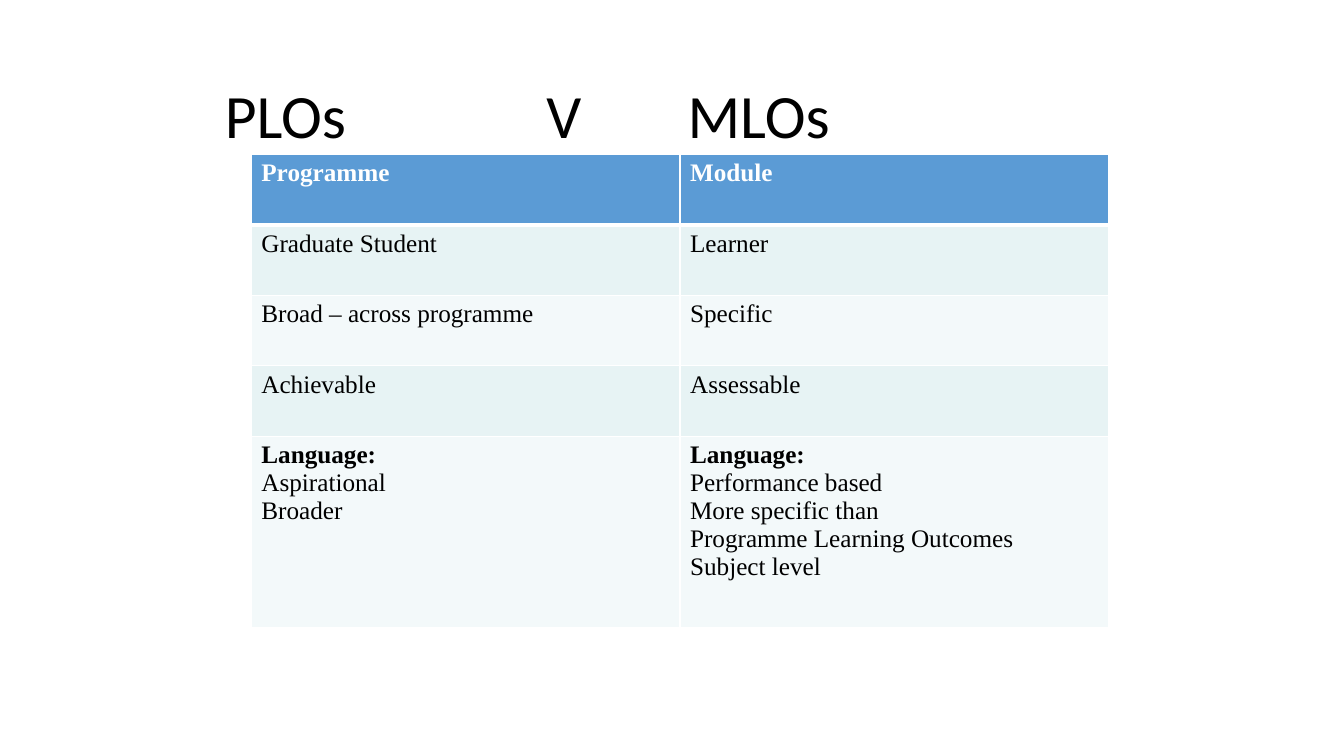
from lxml import etree
from pptx import Presentation
from pptx import util as u
from pptx.dml.color import RGBColor
from pptx.enum import text as t
from pptx.oxml import ns

HUES = {"white": "FFFFFF", "black": "000000", "head": "5B9BD5",
        "odd": "E7F3F4", "even": "F3F9FA"}
ROWS = [
    (["Programme"], ["Module"]),
    (["Graduate Student"], ["Learner"]),
    (["Broad – across programme"], ["Specific"]),
    (["Achievable"], ["Assessable"]),
    (["Language:", "Aspirational", "Broader"],
     ["Language:", "Performance based", "More specific than",
      "Programme Learning Outcomes", "Subject level"]),
]


def write(para, words, size=18, font="Times New Roman", hue="black", bold=False):
    run = para.add_run()
    run.text = words
    run.font.size = u.Pt(size)
    run.font.name = font
    run.font.bold = bold
    run.font.color.rgb = RGBColor.from_string(HUES[hue])


class Slide:
    """Draw text and tables on a grid of 100 columns by 100 rows."""

    def __init__(self, deck):
        self.page = deck.slides.add_slide(deck.slide_layouts[6])
        self.col = deck.slide_width / 100
        self.row = deck.slide_height / 100

    def place(self, left, top, wide, high):
        return (round(left * self.col), round(top * self.row),
                round(wide * self.col), round(high * self.row))

    def title(self, parts, stops, *spot):
        frame = self.page.shapes.add_textbox(*self.place(*spot)).text_frame
        frame.word_wrap = True
        frame.vertical_anchor = t.MSO_ANCHOR.MIDDLE
        frame.margin_left = u.Inches(0.05)
        para = frame.paragraphs[0]
        tabs = etree.SubElement(para._p.get_or_add_pPr(), ns.qn("a:tabLst"))
        for stop in stops:
            etree.SubElement(tabs, ns.qn("a:tab"), pos=str(u.Inches(stop)), algn="l")
        para.line_spacing = 0.9
        write(para, "\t".join(parts), size=44, font="Calibri")

    def edge(self, cell, side, width):
        line = etree.SubElement(cell._tc.get_or_add_tcPr(), ns.qn("a:ln" + side),
                                w=str(u.Pt(width)))
        fill = etree.SubElement(line, ns.qn("a:solidFill"))
        etree.SubElement(fill, ns.qn("a:srgbClr"), val=HUES["white"])

    def cell(self, cell, lines, rank):
        for side in "LRTB":
            thick = (rank, side) in ((0, "B"), (1, "T"))
            self.edge(cell, side, 3 if thick else 1)
        fill = "head" if rank == 0 else "odd" if rank % 2 else "even"
        cell.fill.solid()
        cell.fill.fore_color.rgb = RGBColor.from_string(HUES[fill])
        frame = cell.text_frame
        for i, line in enumerate(lines):
            para = frame.add_paragraph() if i else frame.paragraphs[0]
            write(para, line, hue="black" if rank else "white",
                  bold=rank == 0 or line.endswith(":"))

    def table(self, rows, left, top, wide, highs):
        spot = self.place(left, top, wide, sum(highs))
        grid = self.page.shapes.add_table(len(rows), len(rows[0]), *spot).table
        for rank, (row, high) in enumerate(zip(rows, highs)):
            grid.rows[rank].height = round(high * self.row)
            for i, lines in enumerate(row):
                self.cell(grid.cell(rank, i), lines, rank)


def main():
    deck = Presentation()
    deck.slide_width = u.Inches(13.33)
    deck.slide_height = u.Inches(7.5)
    slide = Slide(deck)
    slide.title(["PLOs", "V", "MLOs"], [3.19, 4.59], 16.35, 8, 63.6, 15.33)
    slide.table(ROWS, 18.7, 20.4, 63.8, [9.33] * 4 + [25.33])
    deck.save("out.pptx")


if __name__ == "__main__":
    main()
